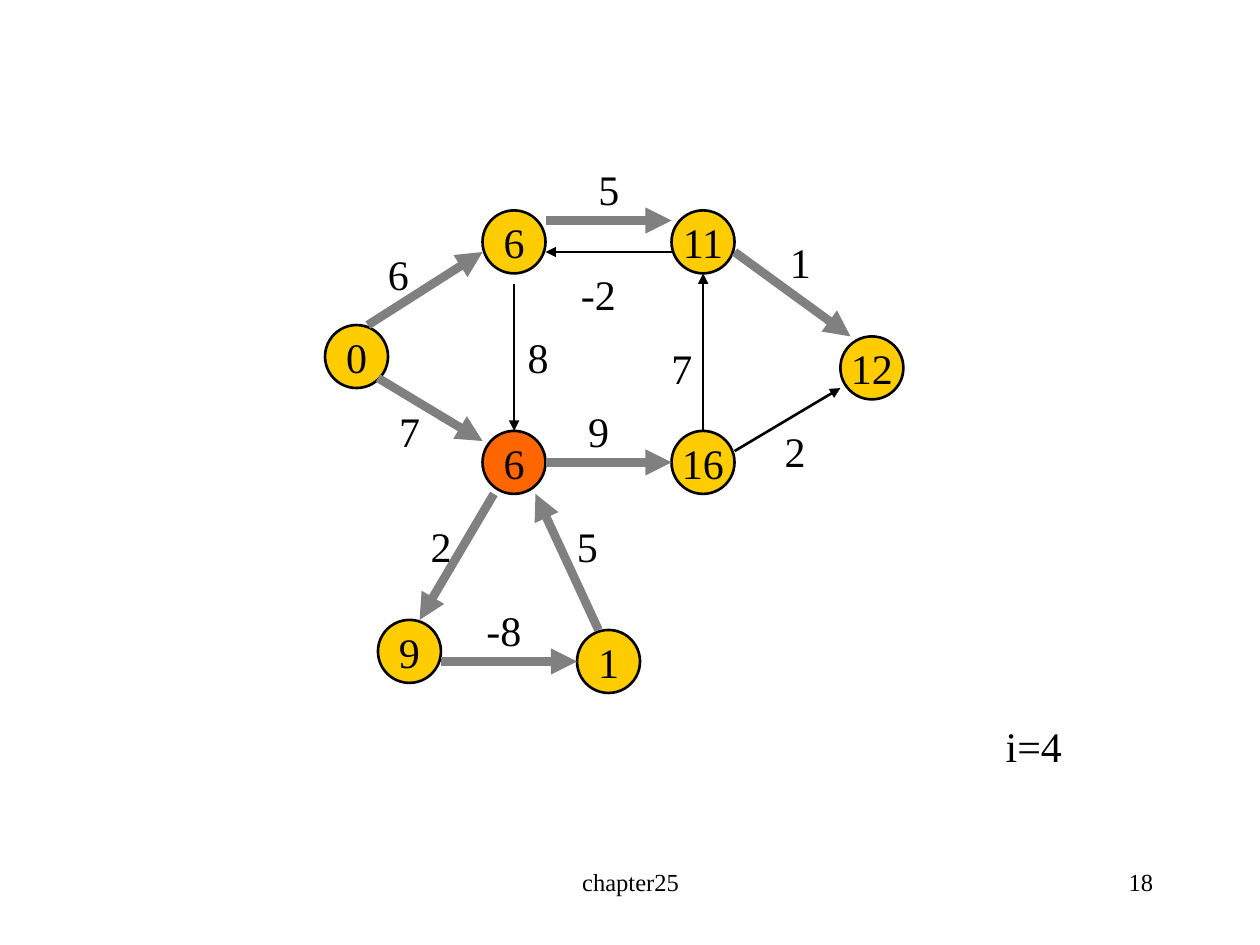
from pptx import Presentation
from pptx.dml.color import RGBColor
from pptx.enum.shapes import MSO_CONNECTOR, MSO_SHAPE
from pptx.enum.text import MSO_ANCHOR, PP_ALIGN
from pptx.oxml.ns import qn
from pptx.util import Inches, Pt
from lxml.etree import SubElement

BLACK, GRAY, GOLD, ORANGE = "000000", "808080", "FFCC00", "FF6600"
SIZE = 0.5

# left, top, distance, fill
NODES = [
    (2.58, 2.58, "0", GOLD),
    (3.83, 3.42, "6", ORANGE),
    (3.83, 1.67, "6", GOLD),
    (5.33, 3.42, "16", GOLD),
    (6.67, 2.67, "12", GOLD),
    (5.33, 1.67, "11", GOLD),
    (4.58, 5, "1", GOLD),
    (3, 4.92, "9", GOLD),
]

# start, end, label centre, weight, whether the edge is in the path tree
EDGES = [
    ((2.92, 2.58), (3.83, 2), (3.16, 2.17), "6", True),
    ((3, 3), (3.83, 3.5), (3.25, 3.42), "7", True),
    ((4.33, 1.75), (5.33, 1.75), (4.83, 1.5), "5", True),
    ((5.33, 2), (4.33, 2), (4.75, 2.33), "-2", False),
    ((4.08, 2.25), (4.08, 3.42), (4.27, 2.83), "8", False),
    ((4.33, 3.67), (5.33, 3.67), (4.75, 3.42), "9", True),
    ((5.58, 3.42), (5.58, 2.17), (5.41, 2.92), "7", False),
    ((5.83, 2), (6.75, 2.67), (6.35, 2.08), "1", True),
    ((5.83, 3.58), (6.67, 3.08), (6.31, 3.58), "2", False),
    ((3.92, 3.92), (3.33, 4.92), (3.5, 4.33), "2", True),
    ((3.5, 5.25), (4.58, 5.25), (4, 5), "-8", True),
    ((4.75, 5), (4.25, 3.92), (4.66, 4.33), "5", True),
]


def color(code):
    return RGBColor.from_string(code)


def apply(target, values):
    for name, value in values.items():
        setattr(target, name, value)


class Board:
    """Holds the text style and the slide being drawn."""

    font = {"name": "Times New Roman", "size": Pt(24)}

    def __init__(self, slide):
        self.slide = slide
        self.graph = slide.shapes.add_group_shape().shapes

    def letter(self, shape, text, align=PP_ALIGN.CENTER, wrap=False,
               anchor=MSO_ANCHOR.MIDDLE, **style):
        """Put styled text into a shape."""
        frame = shape.text_frame
        apply(frame, {"word_wrap": wrap, "vertical_anchor": anchor})
        line = frame.paragraphs[0]
        line.text, line.alignment = text, align
        apply(line.font, self.font | style)
        line.font.color.rgb = color(BLACK)

    def text(self, box, text, **style):
        shape = self.slide.shapes.add_textbox(*map(Inches, box))
        self.letter(shape, text, wrap=True, anchor=MSO_ANCHOR.TOP, **style)

    def node(self, left, top, text, fill):
        box = map(Inches, (left, top, SIZE, SIZE))
        shape = self.graph.add_shape(MSO_SHAPE.OVAL, *box)
        shape.shadow.inherit = False
        shape.fill.solid()
        shape.fill.fore_color.rgb = color(fill)
        shape.line.color.rgb = color(BLACK)
        shape.line.width = Pt(1.5)
        self.letter(shape, text)

    def arrow(self, start, end, tree):
        ends = map(Inches, start + end)
        link = self.graph.add_connector(MSO_CONNECTOR.STRAIGHT, *ends)
        link.line.color.rgb = color(GRAY if tree else BLACK)
        link.line.width = Pt(5 if tree else 1.5)
        props = link._element.spPr
        SubElement(props.find(qn("a:ln")), qn("a:tailEnd"), type="triangle")
        SubElement(props, qn("a:effectLst"))

    def label(self, center, text):
        width = 0.24 + 0.12 * len(text)
        x, y = center
        box = (x - width / 2, y - SIZE / 2, width, SIZE)
        self.letter(self.graph.add_textbox(*map(Inches, box)), text)


def main():
    deck = Presentation()
    deck.slide_width, deck.slide_height = Inches(10), Inches(7.5)
    board = Board(deck.slides.add_slide(deck.slide_layouts[6]))

    for node in NODES:
        board.node(*node)
    for start, end, _, _, tree in EDGES:
        board.arrow(start, end, tree)
    for _, _, center, weight, _ in EDGES:
        board.label(center, weight)

    board.text((7.08, 5.67, 2.25, SIZE), "i=4")
    board.text((3.42, 6.83, 3.17, SIZE), "chapter25", size=Pt(14))
    board.text((7.17, 6.83, 2.08, SIZE), "18", align=PP_ALIGN.RIGHT,
               size=Pt(14))
    deck.save("out.pptx")


if __name__ == "__main__":
    main()
